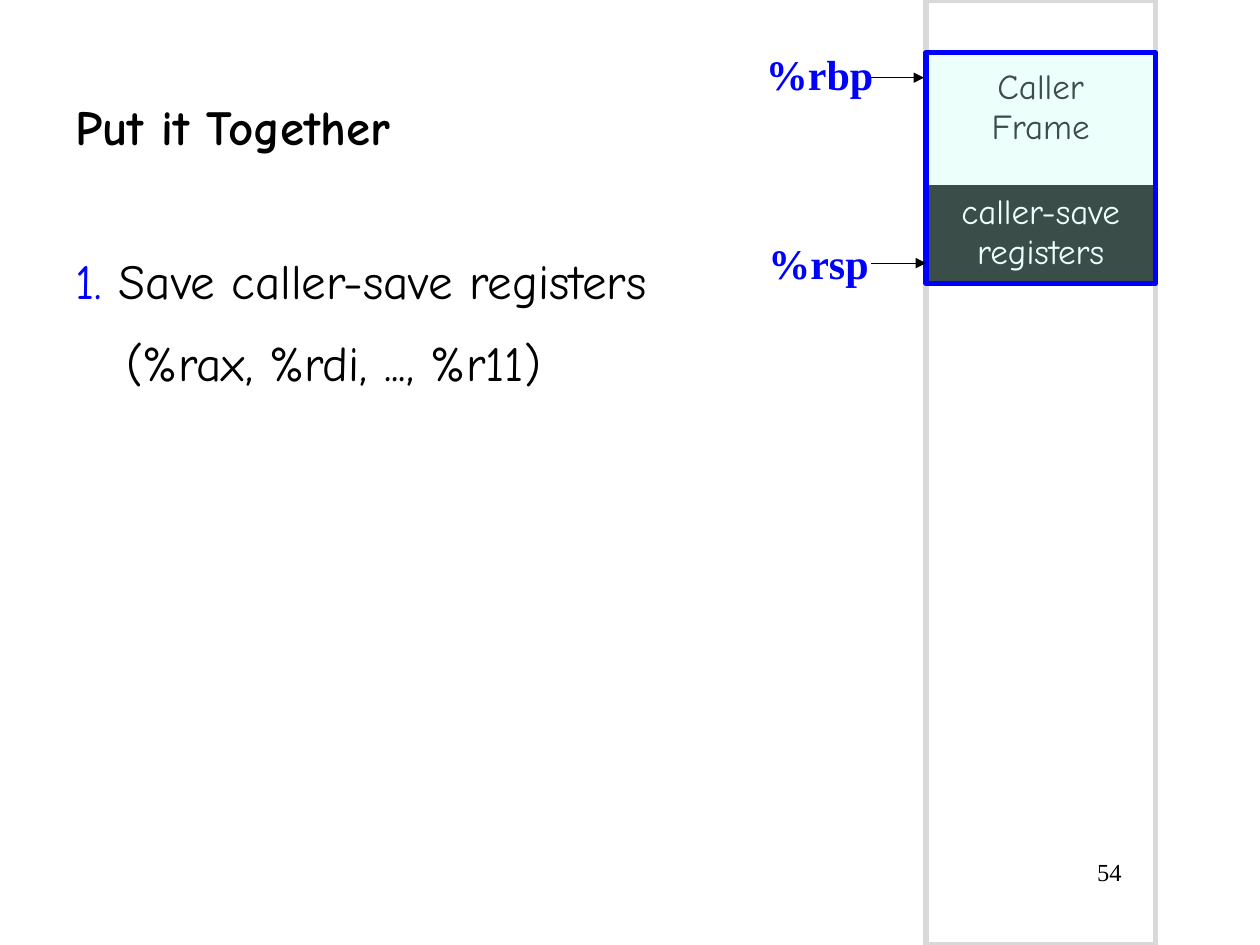
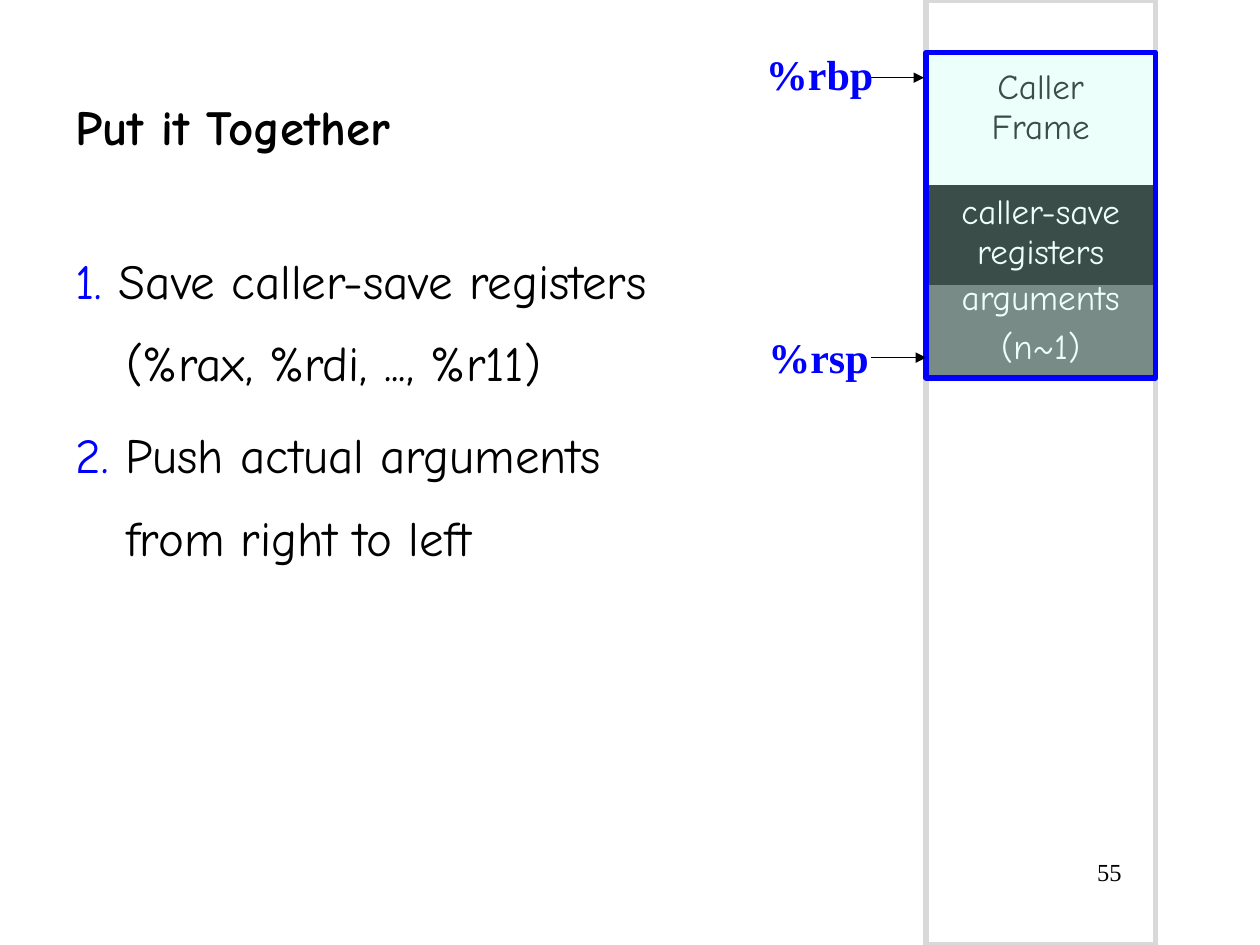
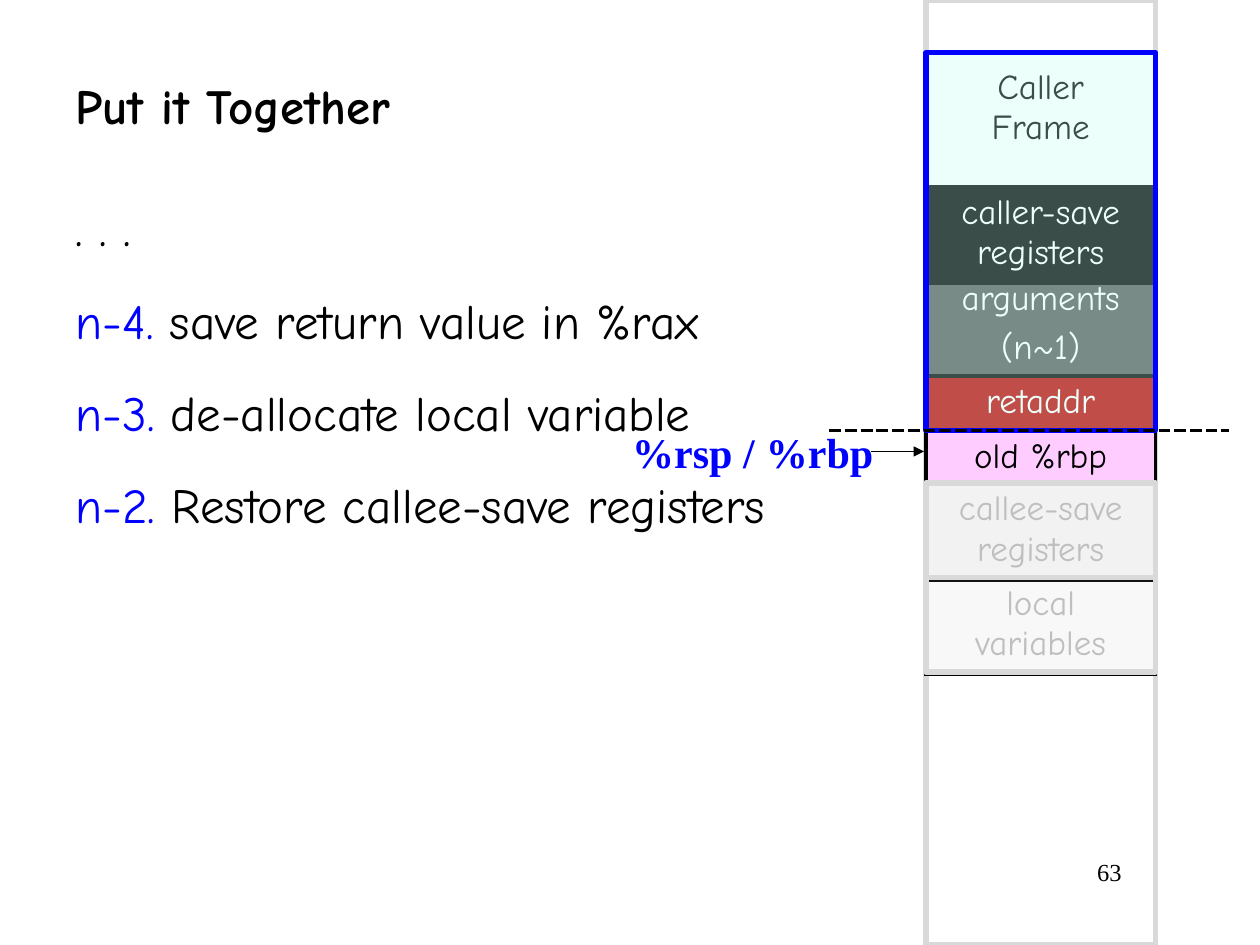
from dataclasses import dataclass
from typing import Optional

from lxml.etree import SubElement
from pptx import Presentation
from pptx.dml.color import RGBColor
from pptx.enum.dml import MSO_LINE
from pptx.enum.shapes import MSO_CONNECTOR, MSO_SHAPE
from pptx.enum.text import MSO_ANCHOR, MSO_AUTO_SIZE, PP_ALIGN
from pptx.oxml import parse_xml
from pptx.oxml.ns import nsdecls, qn
from pptx.util import Pt

COLORS = {
    "black": "000000",
    "white": "FFFFFF",
    "blue": "0000FF",
    "mint": "C2FFF0",
    "pink": "FFCCFF",
    "red": "C00000",
    "slate": "595959",
    "rule": "D9D9D9",
    "faded": "BFBFBF",
    "pale": "F2F2F2",
}
HAND = "Comic Neue"
SERIF = "Times New Roman"
STACK_LEFT, STACK_WIDTH = 529.2, 131
FRAME_TOP = 30
SLIDE_WIDTH, SLIDE_HEIGHT = 720, 540


@dataclass(frozen=True)
class Run:
    text: str
    color: str = "black"


@dataclass(frozen=True)
class Block:
    lines: tuple[str, ...]
    top: float
    height: float
    fill: Optional[str] = None
    color: str = "white"
    alpha: Optional[int] = None
    inset: float = 3.6


@dataclass(frozen=True)
class Pointer:
    register: str
    left: float
    top: float
    width: float
    arrow_y: Optional[float] = None
    arrow_end: float = 528


@dataclass(frozen=True)
class Page:
    number: int
    steps: tuple[tuple[Run, ...], ...]
    blocks: tuple[Block, ...]
    frame_bottom: float
    pointers: tuple[Pointer, ...]
    title_top: float = 36
    steps_top: float = 126
    steps_height: float = 348
    hanging: float = 28.8
    returning: bool = False


def step(mark: str, text: str) -> tuple[Run, ...]:
    return Run(mark + " ", "blue"), Run(text)


def rgb(name: str) -> RGBColor:
    return RGBColor.from_string(COLORS[name])


def paint(fill, color: Optional[str], alpha: Optional[int] = None) -> None:
    if color is None:
        fill.background()
        return
    fill.solid()
    fill.fore_color.rgb = rgb(color)
    if alpha is not None:
        tint = fill._xPr.find(qn("a:solidFill"))[0]
        SubElement(tint, qn("a:alpha")).set("val", str(alpha * 1000))


def write(frame, paragraphs, *, size: float, font: str = HAND, bold: bool = False,
          align=PP_ALIGN.LEFT, spacing: Optional[float] = None, before: float = 0,
          hanging: float = 0) -> None:
    for index, runs in enumerate(paragraphs):
        paragraph = frame.add_paragraph() if index else frame.paragraphs[0]
        paragraph.alignment = align
        paragraph.space_before = Pt(before if index else 0)
        if spacing:
            paragraph.line_spacing = spacing
        properties = paragraph._p.get_or_add_pPr()
        properties.set("marL", str(Pt(hanging)))
        properties.set("indent", str(-Pt(hanging)))
        SubElement(properties, qn("a:buNone"))
        for run in runs:
            for part, line in enumerate(run.text.split("\n")):
                if part:
                    paragraph.add_line_break()
                piece = paragraph.add_run()
                piece.text = line
                piece.font.name = font
                piece.font.size = Pt(size)
                piece.font.bold = bold
                piece.font.color.rgb = rgb(run.color)


def place(shape, left: float, top: float, width: float, height: float) -> None:
    shape.left, shape.top = Pt(left), Pt(top)
    shape.width, shape.height = Pt(width), Pt(height)


def add_outline(slide, top: float, height: float, line: str,
                fill: Optional[str] = None, alpha: Optional[int] = None) -> None:
    box = slide.shapes.add_shape(MSO_SHAPE.RECTANGLE, Pt(STACK_LEFT), Pt(top),
                                 Pt(STACK_WIDTH), Pt(height))
    box.shadow.inherit = False
    paint(box.fill, fill, alpha)
    box.line.color.rgb = rgb(line)
    box.line.width = Pt(3)


def add_block(slide, block: Block) -> None:
    table = slide.shapes.add_table(1, 1, Pt(STACK_LEFT), Pt(block.top),
                                   Pt(STACK_WIDTH), Pt(block.height)).table
    table.first_row = table.horz_banding = False
    cell = table.cell(0, 0)
    cell.margin_top = Pt(block.inset)
    paint(cell.fill, block.fill, block.alpha)
    properties = cell._tc.get_or_add_tcPr()
    for index, side in enumerate("LRTB"):
        properties.insert(index, parse_xml(
            f'<a:ln{side} {nsdecls("a")} w="{Pt(2.25)}"><a:solidFill>'
            f'<a:srgbClr val="{COLORS["black"]}"/></a:solidFill></a:ln{side}>'))
    write(cell.text_frame, [(Run(line, block.color),) for line in block.lines],
          size=20, align=PP_ALIGN.CENTER, before=4.5)


def add_line(slide, start: float, end: float, y: float, width: float):
    line = slide.shapes.add_connector(MSO_CONNECTOR.STRAIGHT, Pt(start), Pt(y), Pt(end), Pt(y))
    line.line.color.rgb = rgb("black")
    line.line.width = Pt(width)
    SubElement(line._element.spPr, qn("a:effectLst"))
    return line


def add_label(slide, text: str, left: float, top: float, width: float, height: float,
              color: str = "black", wrap: bool = True, **style) -> None:
    label = slide.shapes.add_textbox(Pt(left), Pt(top), Pt(width), Pt(height))
    label.text_frame.word_wrap = wrap
    write(label.text_frame, [(Run(text, color),)], font=SERIF, **style)


def add_pointer(slide, pointer: Pointer) -> None:
    add_label(slide, pointer.register, pointer.left, pointer.top, pointer.width, 36.7,
              color="blue", wrap=False, size=24, bold=True)
    if pointer.arrow_y is not None:
        arrow = add_line(slide, 498, pointer.arrow_end, pointer.arrow_y, 0.75)
        SubElement(arrow.line._get_or_add_ln(), qn("a:tailEnd")).set("type", "triangle")


def add_page(deck, page: Page) -> None:
    slide = deck.slides.add_slide(deck.slide_layouts[1])
    title, steps = slide.placeholders
    place(title, 36, page.title_top, 636, 72)
    place(steps, 36, page.steps_top, 684, page.steps_height)
    for holder, anchor in ((title, MSO_ANCHOR.MIDDLE), (steps, MSO_ANCHOR.TOP)):
        holder.text_frame.auto_size = MSO_AUTO_SIZE.NONE
        holder.text_frame.vertical_anchor = anchor
    write(title.text_frame, [(Run("Put it Together"),)], size=28, bold=True)
    write(steps.text_frame, page.steps, size=28, spacing=1.4, before=5.6,
          hanging=page.hanging)

    if page.returning:
        add_outline(slide, OLD_RBP.top, OLD_RBP.height, "blue", "pink", 30)
    add_outline(slide, 0, SLIDE_HEIGHT, "rule")
    add_label(slide, str(page.number), 546, 486, 102, 36, size=14, align=PP_ALIGN.RIGHT)
    for block in page.blocks:
        add_block(slide, block)
    frame_height = page.frame_bottom - FRAME_TOP
    add_block(slide, Block(("Caller\nFrame",), FRAME_TOP, frame_height,
                           color="black", inset=8.8))
    add_outline(slide, FRAME_TOP, frame_height, "blue", "mint", 30)
    if page.returning:
        for block in RELEASED:
            add_block(slide, block)
        boundary = add_line(slide, 474, 702, page.frame_bottom, 2.25)
        boundary.line.dash_style = MSO_LINE.SQUARE_DOT
    for pointer in page.pointers:
        add_pointer(slide, pointer)
    if page.returning:
        for block in reversed(RELEASED):
            add_outline(slide, block.top, 54, "rule")


CALLER_SAVE = Block(("caller-save registers",), 106.6, 55.4, "black")
ARGUMENTS = Block(("arguments", "(n~1)"), 156, 60, "slate")
RETADDR = Block(("retaddr",), 214.8, 31, "red")
OLD_RBP = Block(("old %rbp",), 246, 31, "pink", "black")
RELEASED = (
    Block(("callee-save registers",), 276, 55.4, "pale", "faded"),
    Block(("local variables",), 330, 55.4, "faded", "faded", 10),
)
RBP = Pointer("%rbp", 430.6, 24, 76.3, 44.4)
SAVE_STEP = step("1.", "Save caller-save registers \n(%rax, %rdi, ..., %r11)")
PUSH_STEP = step("2.", "Push actual arguments \nfrom right to left")

PAGES = (
    Page(54, (SAVE_STEP,), (CALLER_SAVE,), 162,
         (RBP, Pointer("%rsp", 432, 132, 72.7, 150.4, STACK_LEFT))),
    Page(55, (SAVE_STEP, PUSH_STEP), (ARGUMENTS, CALLER_SAVE), 216,
         (RBP, Pointer("%rsp", 432, 186, 72.7, 204.4, STACK_LEFT))),
    Page(63,
         ((Run(". . ."),),
          step("n-4.", "save return value in %rax"),
          step("n-3.", "de-allocate local variable"),
          step("n-2.", "Restore callee-save registers")),
         (ARGUMENTS, CALLER_SAVE, OLD_RBP, RETADDR), 246,
         (Pointer("%rbp", 430.6, 240, 76.3, 258), Pointer("%rsp /", 354.2, 240, 85)),
         title_top=24, steps_top=96, steps_height=402, hanging=0, returning=True),
)


def main() -> None:
    deck = Presentation()
    deck.slide_width, deck.slide_height = Pt(SLIDE_WIDTH), Pt(SLIDE_HEIGHT)
    for page in PAGES:
        add_page(deck, page)
    deck.save("out.pptx")


if __name__ == "__main__":
    main()
